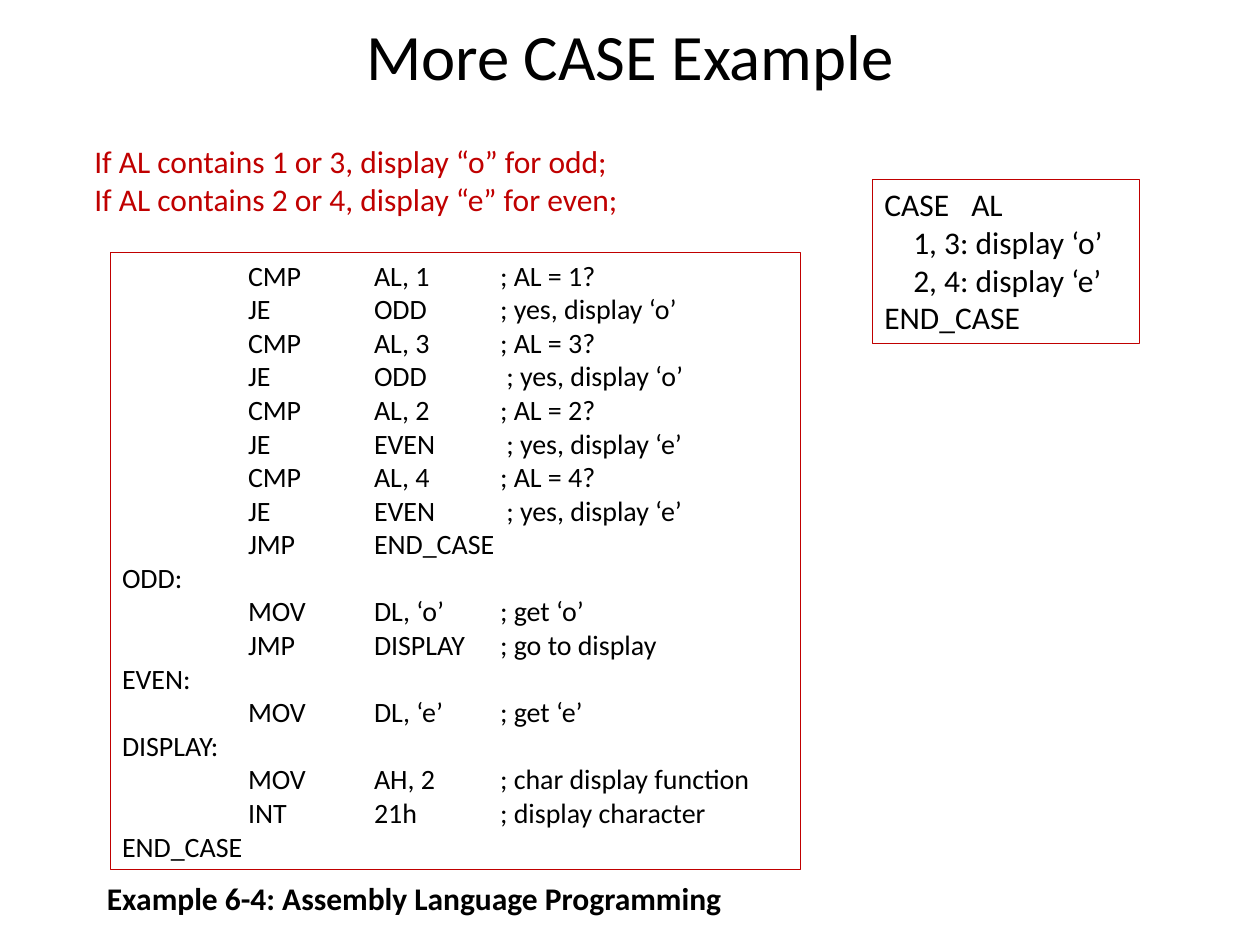
from lxml import etree
from pptx import Presentation
from pptx.dml.color import RGBColor
from pptx.enum.shapes import MSO_SHAPE
from pptx.enum.text import MSO_ANCHOR, PP_ALIGN
from pptx.util import Inches, Pt

RECT = MSO_SHAPE.RECTANGLE
TOP, MIDDLE = MSO_ANCHOR.TOP, MSO_ANCHOR.MIDDLE
LEFT, CENTER = PP_ALIGN.LEFT, PP_ALIGN.CENTER
A = "{http://schemas.openxmlformats.org/drawingml/2006/main}"
RED, BLACK = "C00000", "000000"

prs = Presentation()
prs.slide_width, prs.slide_height = Inches(10), Inches(7.5)
s = prs.slides.add_slide(prs.slide_layouts[6])


def rgb(value):
    return RGBColor.from_string(value)


def add_lines(box, lines, size, color=BLACK, bold=False, align=LEFT, anchor=TOP,
              framed=False, tabs=()):
    x, y, w, h = (Inches(v) for v in box)
    if framed:
        sp = s.shapes.add_shape(RECT, x, y, w, h)
        sp.shadow.inherit = False
        sp.fill.background()
        sp.line.color.rgb = rgb(RED)
        sp.line.width = Pt(0.1)
    else:
        sp = s.shapes.add_textbox(x, y, w, h)
    tf = sp.text_frame
    tf.word_wrap = True
    tf.vertical_anchor = anchor
    for i, line in enumerate(lines):
        p = tf.add_paragraph() if i else tf.paragraphs[0]
        p.text = line
        p.alignment = align
        p.font.name, p.font.size, p.font.bold = "Calibri", Pt(size), bold
        p.font.color.rgb = rgb(color)
        if "\t" in line:
            tab_list = etree.Element(A + "tabLst")
            for stop in tabs:
                etree.SubElement(tab_list, A + "tab", pos=str(Inches(stop)), algn="l")
            p._p.get_or_add_pPr().insert(0, tab_list)
    return tf


# Title
add_lines((0.5, 0.08, 9, 0.7), ["More CASE Example"], 37, align=CENTER, anchor=MIDDLE)

# Task
add_lines((0.65, 1.08, 4.94, 0.7), [
    "If AL contains 1 or 3, display “o” for odd;",
    "If AL contains 2 or 4, display “e” for even;",
], 18, RED)

# Pseudocode: a tab stop on the first line, indented branches
tf = add_lines((6.92, 1.42, 2.12, 1.3), [
    "CASE\tAL",
    "1, 3: display ‘o’",
    "2, 4: display ‘e’",
    "END_CASE",
], 18, framed=True, tabs=[0.69])
for p in tf.paragraphs[1:3]:
    p._p.get_or_add_pPr().set("marL", str(Inches(0.23)))

# Assembly listing: columns one inch apart
code = [
    ("", "CMP", "AL, 1", "; AL = 1?"),
    ("", "JE", "ODD", "; yes, display ‘o’"),
    ("", "CMP", "AL, 3", "; AL = 3?"),
    ("", "JE", "ODD", " ; yes, display ‘o’"),
    ("", "CMP", "AL, 2", "; AL = 2?"),
    ("", "JE", "EVEN", " ; yes, display ‘e’"),
    ("", "CMP", "AL, 4", "; AL = 4?"),
    ("", "JE", "EVEN", " ; yes, display ‘e’"),
    ("", "JMP", "END_CASE"),
    ("ODD:",),
    ("", "MOV", "DL, ‘o’", "; get ‘o’"),
    ("", "JMP", "DISPLAY", "; go to display"),
    ("EVEN:",),
    ("", "MOV", "DL, ‘e’", "; get ‘e’"),
    ("DISPLAY:",),
    ("", "MOV", "AH, 2", "; char display function"),
    ("", "INT", "21h", "; display character"),
    ("END_CASE",),
]
add_lines((0.87, 2, 5.48, 4.9), ["\t".join(row) for row in code], 16,
          framed=True, tabs=[1, 2, 3])

# Caption
add_lines((0.75, 6.93, 6.11, 0.4), ["Example 6-4: Assembly Language Programming"], 18, bold=True)

prs.save("out.pptx")
